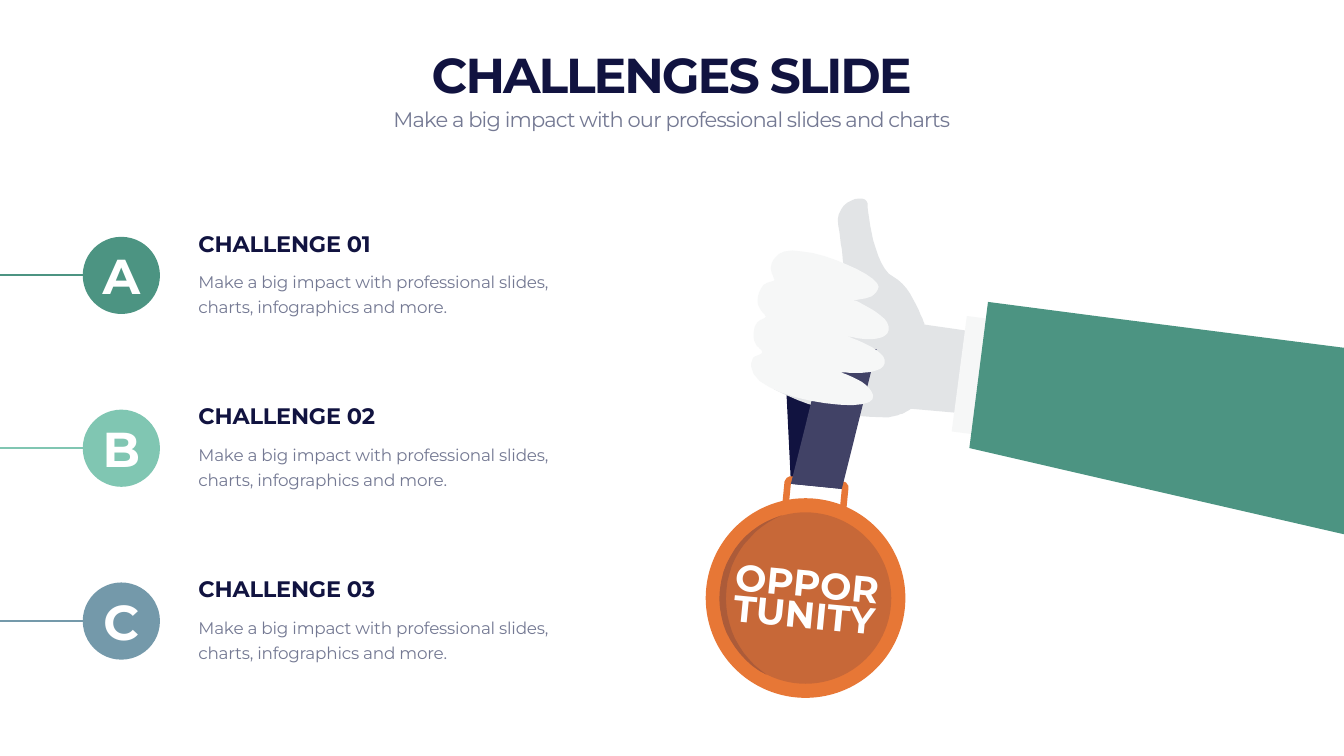
from dataclasses import dataclass

import lxml.etree
import pptx
import pptx.dml.color
import pptx.enum.shapes
import pptx.enum.text
import pptx.oxml.ns
import pptx.util

Cm = pptx.util.Cm
ALIGN = pptx.enum.text.PP_ALIGN
ANCHOR = pptx.enum.text.MSO_ANCHOR
FONT = "Montserrat"
NAVY, GREY, WHITE = "111340", "747993", "FFFFFF"
GREEN, MINT, BLUE = "4C9482", "80C6B2", "7499AA"
ORANGE, SKIN, GLOVE = "E77736", "E2E4E6", "F6F7F7"
DRAWING_UNIT = Cm(0.0254)
CURVE_STEPS = 12
MEDAL_X, MEDAL_Y = 40.59, 30.14
FIRST_ROW, ROW_PITCH = 13.88, 8.71
BADGE_LEFT, BADGE_SIZE = 4.17, 3.89
BODY = "Make a big impact with professional slides, charts, infographics and more."


@dataclass
class Outline:
    color: str
    segments: list[tuple[int, ...]]


@dataclass
class Style:
    size: float
    color: str
    bold: bool = False
    tracking: float = 0
    align: ALIGN = ALIGN.LEFT
    line_pt: float | None = None


@dataclass
class Challenge:
    letter: str
    heading: str
    color: str


BACK_RIBBON = Outline(NAVY, [(1569, 960), (1670, 970), (1657, 685), (1555, 675)])
HAND = Outline(SKIN, [
    (1834, 644), (1834, 644, 1810, 568, 1772, 549), (1733, 530, 1722, 423, 1721, 403),
    (1720, 383, 1655, 394, 1663, 448), (1666, 466, 1672, 512, 1679, 567), (1651, 567),
    (1535, 772), (1535, 772, 1642, 830, 1754, 828), (1771, 828, 1791, 823, 1807, 811),
    (1931, 822), (1952, 661)])
CUFF = Outline(GLOVE, [(1996, 637), (1965, 866), (1888, 856), (1918, 627)])
SLEEVE = Outline(GREEN, [(2666, 690), (2666, 1060), (2174, 947), (1923, 889),
                         (1960, 599), (2174, 627)])
LOOP = Outline(ORANGE, [
    (1565, 1000), (1569, 959), (1569, 958, 1570, 957, 1571, 958), (1669, 967),
    (1670, 967, 1670, 968, 1670, 969), (1666, 1010), (1679, 1011), (1683, 970),
    (1684, 962, 1678, 955, 1670, 955), (1572, 945), (1564, 944, 1557, 950, 1556, 958),
    (1552, 999)])
CRESCENT = Outline("AC5B39", [
    (1441, 1171), (1447, 1102, 1492, 1047, 1552, 1022), (1486, 1041, 1435, 1098, 1428, 1170),
    (1421, 1242, 1460, 1308, 1521, 1339), (1467, 1303, 1434, 1240, 1441, 1171)])
FRONT_RIBBON = Outline("414266", [(1670, 970), (1569, 960), (1638, 683), (1739, 693)])
FINGERS = Outline(GLOVE, [
    (1536, 556), (1538, 551, 1515, 528, 1545, 504), (1579, 476, 1745, 542, 1743, 569),
    (1740, 596, 1693, 595, 1693, 595), (1693, 595, 1769, 626, 1763, 655),
    (1755, 686, 1680, 667, 1680, 667), (1680, 667, 1762, 693, 1755, 721),
    (1747, 749, 1665, 738, 1665, 738), (1665, 738, 1740, 760, 1731, 792),
    (1722, 823, 1490, 790, 1490, 727), (1490, 700, 1511, 706, 1512, 700),
    (1514, 690, 1490, 690, 1496, 654), (1500, 632, 1517, 634, 1519, 629),
    (1521, 623, 1498, 615, 1504, 587), (1511, 554, 1535, 561, 1536, 556)])
CHALLENGES = [
    Challenge("A", "CHALLENGE 01", GREEN),
    Challenge("B", "CHALLENGE 02", MINT),
    Challenge("C", "CHALLENGE 03", BLUE),
]
HEADING_STYLE = Style(32, NAVY, True, -0.3)
BODY_STYLE = Style(24, GREY, False, -0.3, line_pt=36)
LETTER_STYLE = Style(70, WHITE, True, -2.9, ALIGN.CENTER)
MEDAL_STYLE = Style(53, WHITE, True, align=ALIGN.CENTER, line_pt=45)


def rgb(color: str) -> pptx.dml.color.RGBColor:
    return pptx.dml.color.RGBColor.from_string(color)


def paint(sp, color: str) -> None:
    sp.shadow.inherit = False
    sp.fill.solid()
    sp.fill.fore_color.rgb = rgb(color)
    sp.line.fill.background()


def flatten(segments: list[tuple[int, ...]]) -> list[tuple[float, float]]:
    points = [segments[0]]
    for segment in segments[1:]:
        if len(segment) == 2:
            points.append(segment)
            continue
        x0, y0 = points[-1]
        x1, y1, x2, y2, x3, y3 = segment
        for step in range(1, CURVE_STEPS + 1):
            t = step / CURVE_STEPS
            a, b, c, d = (1 - t) ** 3, 3 * t * (1 - t) ** 2, 3 * t * t * (1 - t), t ** 3
            points.append((a * x0 + b * x1 + c * x2 + d * x3,
                           a * y0 + b * y1 + c * y2 + d * y3))
    return points


def draw_outline(s, outline: Outline) -> None:
    points = flatten(outline.segments)
    builder = s.shapes.build_freeform(*points[0], scale=DRAWING_UNIT)
    builder.add_line_segments(points[1:], close=True)
    paint(builder.convert_to_shape(), outline.color)


def draw_disc(s, x: float, y: float, radius: float, color: str):
    sp = s.shapes.add_shape(pptx.enum.shapes.MSO_SHAPE.OVAL, Cm(x - radius), Cm(y - radius),
                            Cm(2 * radius), Cm(2 * radius))
    paint(sp, color)
    return sp


def write(sp, lines: list[str], style: Style, anchor: ANCHOR, wrap: bool = True) -> None:
    tf = sp.text_frame
    tf.word_wrap = wrap
    tf.auto_size = pptx.enum.text.MSO_AUTO_SIZE.NONE
    tf.vertical_anchor = anchor
    for i, line in enumerate(lines):
        p = tf.add_paragraph() if i else tf.paragraphs[0]
        p.alignment = style.align
        p.space_before = pptx.util.Pt(0)
        p.line_spacing = pptx.util.Pt(style.line_pt) if style.line_pt else 1.0
        r = p.add_run()
        r.text = line
        r.font.name = FONT
        r.font.size = pptx.util.Pt(style.size)
        r.font.bold = style.bold
        r.font.color.rgb = rgb(style.color)
        if style.tracking:
            r._r.get_or_add_rPr().set("spc", str(round(style.tracking * 100)))


def place(sp, left: float, top: float, width: float, height: float) -> None:
    sp.left, sp.top, sp.width, sp.height = Cm(left), Cm(top), Cm(width), Cm(height)


def draw_textbox(s, left: float, top: float, width: float, height: float):
    return s.shapes.add_textbox(Cm(left), Cm(top), Cm(width), Cm(height))


def draw_challenge(s, challenge: Challenge, y: float) -> None:
    radius = BADGE_SIZE / 2
    line = s.shapes.add_connector(pptx.enum.shapes.MSO_CONNECTOR.STRAIGHT,
                                  Cm(0), Cm(y), Cm(BADGE_LEFT), Cm(y))
    line.line.color.rgb = rgb(challenge.color)
    line.line.width = pptx.util.Pt(3)
    lxml.etree.SubElement(line._element.spPr, pptx.oxml.ns.qn("a:effectLst"))
    badge = draw_disc(s, BADGE_LEFT + radius, y, radius, challenge.color)
    write(badge, [challenge.letter], LETTER_STYLE, ANCHOR.MIDDLE, wrap=False)
    write(draw_textbox(s, 9.75, y - 2.45, 19.99, 1.63), [challenge.heading],
          HEADING_STYLE, ANCHOR.BOTTOM)
    write(draw_textbox(s, 9.75, y - 0.57, 19.99, 2.72), [BODY], BODY_STYLE, ANCHOR.TOP)


def draw_medal(s) -> None:
    for outline in (BACK_RIBBON, HAND, CUFF, SLEEVE):
        draw_outline(s, outline)
    draw_disc(s, MEDAL_X, MEDAL_Y, 5.03, ORANGE)
    draw_disc(s, MEDAL_X, MEDAL_Y, 4.32, "C76838")
    for outline in (LOOP, CRESCENT, FRONT_RIBBON, FINGERS):
        draw_outline(s, outline)
    sp = draw_textbox(s, MEDAL_X - 4.22, MEDAL_Y - 1.67, 8.4, 4)
    sp.rotation = 5.6
    write(sp, ["OPPOR", "TUNITY"], MEDAL_STYLE, ANCHOR.MIDDLE, wrap=False)


def main() -> None:
    prs = pptx.Presentation()
    prs.slide_width, prs.slide_height = Cm(67.72), Cm(38.1)
    s = prs.slides.add_slide(prs.slide_layouts[0])
    title, subtitle = s.placeholders
    place(title, 4.22, 2.08, 59.26, 3.25)
    write(title, ["CHALLENGES SLIDE"], Style(70, NAVY, True, -2.9, ALIGN.CENTER), ANCHOR.BOTTOM)
    place(subtitle, 4.22, 5.23, 59.26, 1.55)
    write(subtitle, ["Make a big impact with our professional slides and charts"],
          Style(30, GREY, False, -1.2, ALIGN.CENTER), ANCHOR.TOP)
    draw_medal(s)
    for row, challenge in enumerate(CHALLENGES):
        draw_challenge(s, challenge, FIRST_ROW + row * ROW_PITCH)
    prs.save("out.pptx")


if __name__ == "__main__":
    main()
